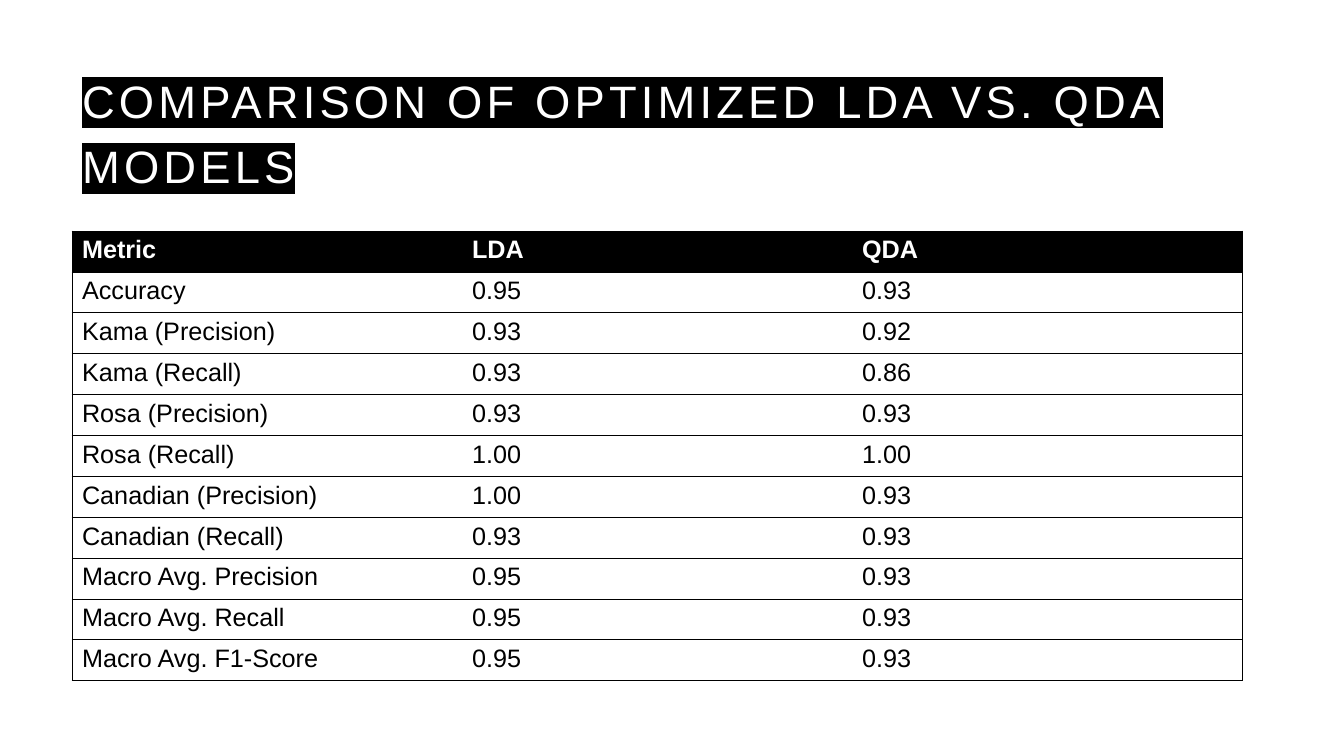
from lxml import etree
from pptx import Presentation
from pptx import util as u
from pptx.dml.color import RGBColor
from pptx.enum import text
from pptx.oxml.ns import qn

TITLE = "COMPARISON OF OPTIMIZED LDA VS. QDA MODELS"
ROWS = [
    ("Metric", "LDA", "QDA"),
    ("Accuracy", "0.95", "0.93"),
    ("Kama (Precision)", "0.93", "0.92"),
    ("Kama (Recall)", "0.93", "0.86"),
    ("Rosa (Precision)", "0.93", "0.93"),
    ("Rosa (Recall)", "1.00", "1.00"),
    ("Canadian (Precision)", "1.00", "0.93"),
    ("Canadian (Recall)", "0.93", "0.93"),
    ("Macro Avg. Precision", "0.95", "0.93"),
    ("Macro Avg. Recall", "0.95", "0.93"),
    ("Macro Avg. F1-Score", "0.95", "0.93"),
]
BLACK, WHITE = "000000", "FFFFFF"
FONT = "Arial"
SLIDE_SIZE = (1344, 756)
TITLE_BOX = (72, 72, 1171, 126)
TABLE_BOX = (72, 231, 1170, 450)


def px(length):
    return u.Emu(round(length * 914400 / 100.8))


def color(value):
    return RGBColor.from_string(value)


def add_run(para, words, size, ink, bold=False):
    span = para.add_run()
    span.text = words
    span.font.size = u.Pt(size)
    span.font.name = FONT
    span.font.bold = bold
    span.font.color.rgb = color(ink)
    return span


def add_solid(parent, value):
    fill = etree.SubElement(parent, qn("a:solidFill"))
    etree.SubElement(fill, qn("a:srgbClr"), val=value)


def set_borders(cell, drawn):
    """Draw the sides named in drawn (letters of LRTB) and clear the others."""
    props = cell._tc.get_or_add_tcPr()
    for place, side in enumerate("LRTB"):
        line = etree.Element(qn("a:ln" + side), w=str(u.Pt(0.5)))
        if side in drawn:
            add_solid(line, BLACK)
        else:
            etree.SubElement(line, qn("a:noFill"))
        props.insert(place, line)


def fill_title(title):
    title.left, title.top, title.width, title.height = map(px, TITLE_BOX)
    frame = title.text_frame
    frame.word_wrap = True
    frame.auto_size = text.MSO_AUTO_SIZE.NONE
    frame.vertical_anchor = text.MSO_ANCHOR.BOTTOM
    para = frame.paragraphs[0]
    para.alignment = text.PP_ALIGN.LEFT
    para.line_spacing = 1.2
    span = add_run(para, TITLE, 32.4, WHITE)
    props = span.font._element
    props.set("spc", "300")
    highlight = etree.Element(qn("a:highlight"))
    etree.SubElement(highlight, qn("a:srgbClr"), val=BLACK)
    props.find(qn("a:solidFill")).addnext(highlight)


def add_metrics_table(page):
    left, top, width, height = TABLE_BOX
    columns = len(ROWS[0])
    table = page.shapes.add_table(len(ROWS), columns, *map(px, TABLE_BOX)).table
    for column in table.columns:
        column.width = px(width / columns)
    for row in table.rows:
        row.height = px(height / len(ROWS))
    for r, values in enumerate(ROWS):
        header = r == 0
        for c, value in enumerate(values):
            cell = table.cell(r, c)
            cell.fill.solid()
            cell.fill.fore_color.rgb = color(BLACK if header else WHITE)
            add_run(cell.text_frame.paragraphs[0], value, 18,
                    WHITE if header else BLACK, header)
            outer = {0: "L", columns - 1: "R"}.get(c, "")
            set_borders(cell, "TB" + outer)


def main():
    deck = Presentation()
    deck.slide_width, deck.slide_height = map(px, SLIDE_SIZE)
    page = deck.slides.add_slide(deck.slide_layouts[5])
    page.background.fill.solid()
    page.background.fill.fore_color.rgb = color(WHITE)
    fill_title(page.shapes.title)
    add_metrics_table(page)
    deck.save("out.pptx")


if __name__ == "__main__":
    main()
